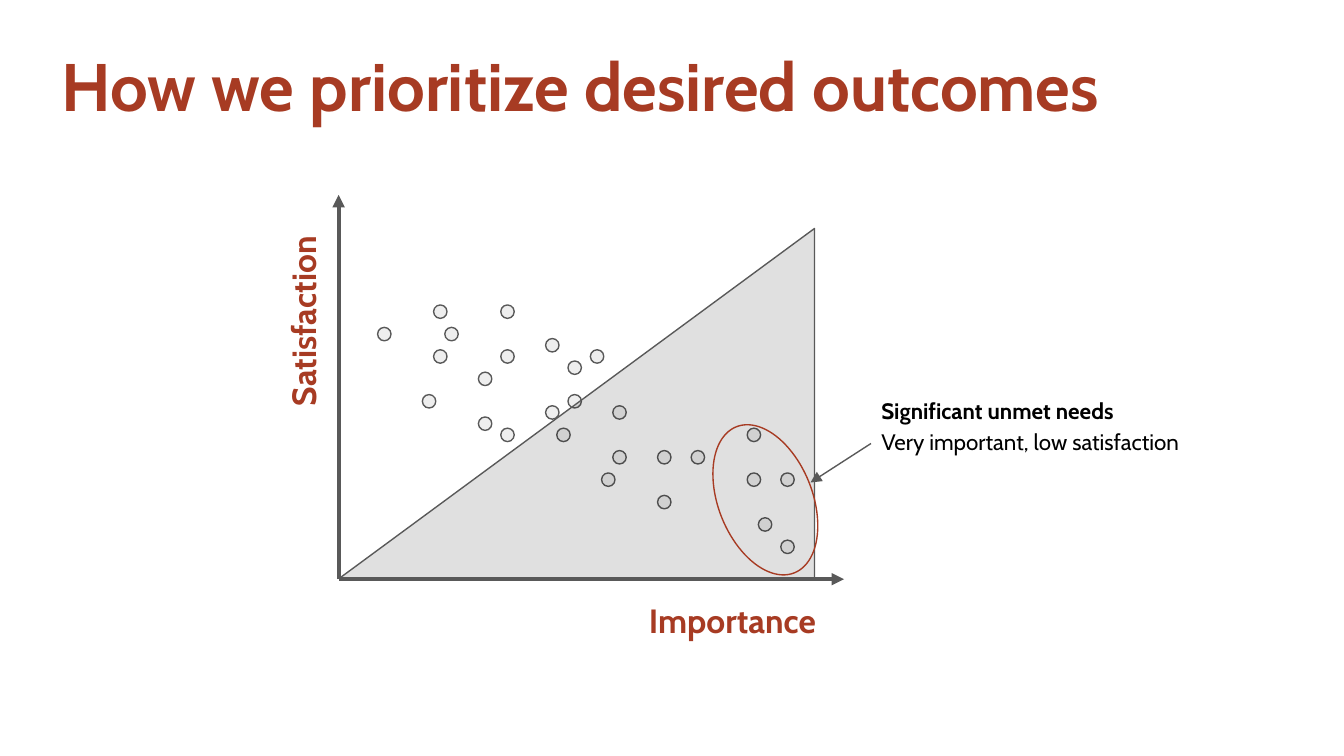
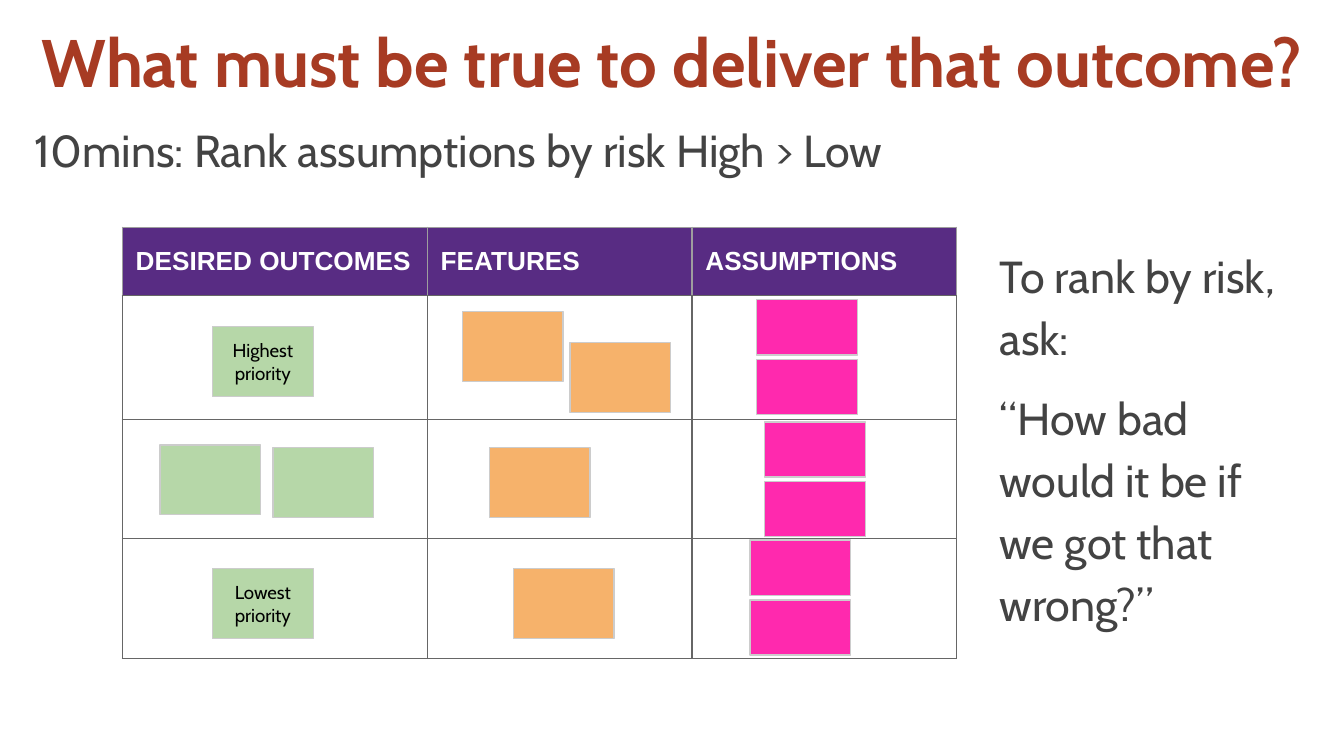
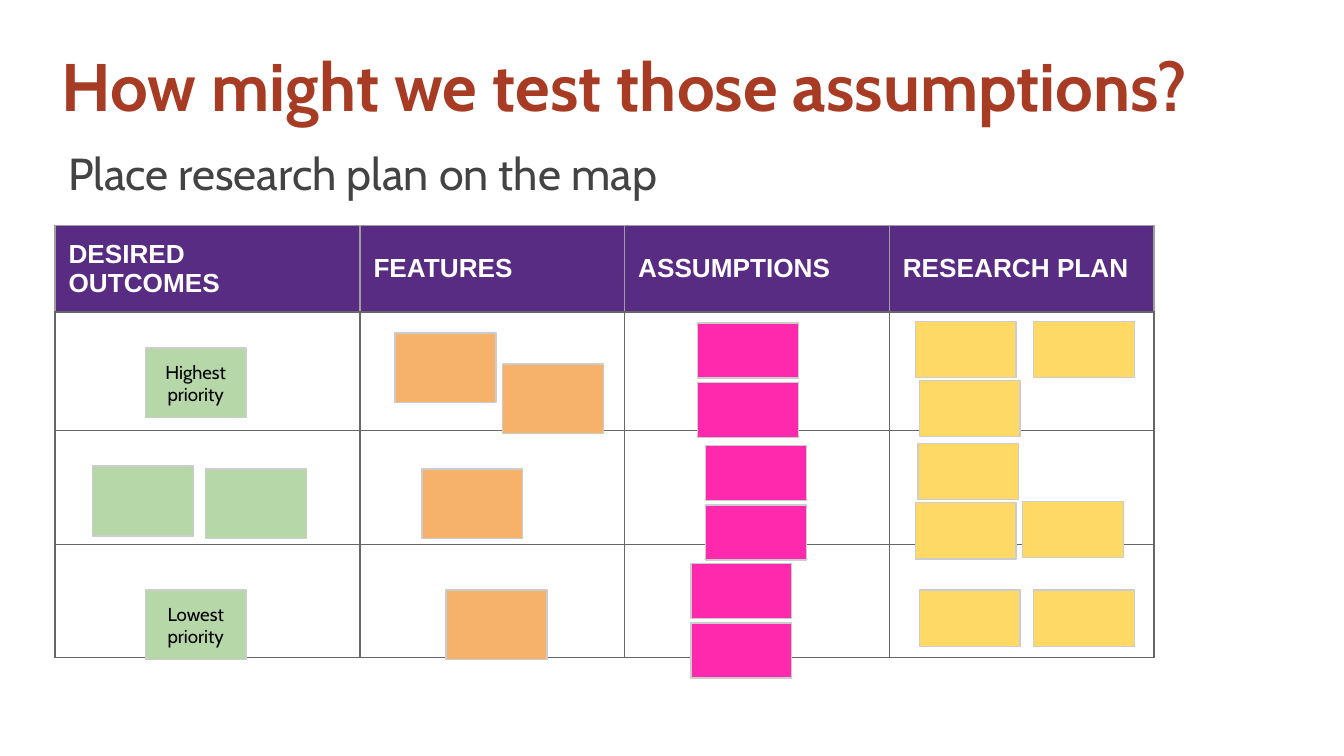
from lxml import etree
from pptx import Presentation
from pptx.dml.color import RGBColor
from pptx.enum.shapes import MSO_CONNECTOR, MSO_SHAPE
from pptx.enum.text import MSO_ANCHOR, PP_ALIGN
from pptx.oxml.ns import qn
from pptx.util import Pt

RECTANGLE, OVAL, TRIANGLE = MSO_SHAPE.RECTANGLE, MSO_SHAPE.OVAL, MSO_SHAPE.RIGHT_TRIANGLE
STRAIGHT = MSO_CONNECTOR.STRAIGHT
LEFT, CENTER = PP_ALIGN.LEFT, PP_ALIGN.CENTER
TOP, MIDDLE = MSO_ANCHOR.TOP, MSO_ANCHOR.MIDDLE

COLORS = {
    "accent": "A73B23", "body": "434343", "black": "000000", "white": "FFFFFF",
    "axis": "595959", "dot": "EEEEEE", "header": "582C83", "grid": "666666",
    "header_edge": "9E9E9E", "note_edge": "CCCCCC", "green": "B6D7A8",
    "orange": "F6B26B", "pink": "FF29AE", "yellow": "FFD966",
}
INSET = 7.2
TITLE_BOX = (25.9, 18.7, 641.5, 53.3)

DOT_ORIGIN, DOT_STEP, DOT_SIZE = (202.3, 163.4), 6, 7.2
DOTS = [
    (34, 19), (36, 21), (36, 15), (25, 13), (20, 15), (25, 17), (17, 8), (15, 3), (17, 5),
    (19, 4), (15, 9), (11, 11), (9, 6), (4, 8), (9, 10), (11, 0), (6, 2), (11, 4),
    (5, 0), (0, 2), (5, 4), (21, 9), (16, 11), (21, 13), (33, 11), (28, 13), (33, 15),
]

COLUMN_WIDTHS = [163.4, 141.8, 141.8, 141.8]
NOTE_WIDTH = 54
NOTE_HEIGHTS = {"green": 37.4, "orange": 37.4, "pink": 29.5, "yellow": 30.2}
OUTCOMES = [(113.8, 304.6, "Lowest priority"), (113.8, 175, "Highest priority"),
            (85.7, 238.3, ""), (146.2, 239.8, "")]
FEATURES = [(247.7, 167), (305.3, 183.6), (262.1, 239.8), (275, 304.6)]
ASSUMPTION_PAIRS = [(405.4, 160.6), (409.7, 226.1), (401.8, 289.4)]
PAIR_STEP = 32
RESEARCH = [(490.3, 172.1), (492.5, 203.8), (491.8, 237.6), (490.3, 269.3),
            (492.5, 316.1), (553.7, 172.1), (547.9, 268.6), (553.7, 316.1)]


def rgb(name):
    """Return the named colour."""
    return RGBColor.from_string(COLORS[name])


def points(values):
    """Convert numbers to lengths in points."""
    return [Pt(value) for value in values]


def write_text(frame, text, size=12, color="black", bold=False, font="Cabin",
               align=LEFT, spacing=None, after=0):
    """Write one paragraph for each line of text."""
    for index, line in enumerate(text.split("\n")):
        paragraph = frame.add_paragraph() if index else frame.paragraphs[0]
        paragraph.alignment = align
        paragraph.line_spacing = spacing
        paragraph.space_after = Pt(after)
        run = paragraph.add_run()
        run.text = line
        run.font.size, run.font.name, run.font.bold = Pt(size), font, bold
        run.font.color.rgb = rgb(color)


def set_frame(frame, anchor=MIDDLE):
    """Give a text frame its wrapping, insets and anchor."""
    frame.word_wrap = True
    frame.vertical_anchor = anchor
    frame.margin_left = frame.margin_right = Pt(INSET)
    frame.margin_top = frame.margin_bottom = Pt(INSET)


def add_text(slide, box, text, anchor=MIDDLE, rotation=0, **style):
    """Add a text box."""
    shape = slide.shapes.add_textbox(*points(box))
    shape.rotation = rotation
    set_frame(shape.text_frame, anchor)
    write_text(shape.text_frame, text, **style)
    return shape


def add_title(slide, text, box=TITLE_BOX, align=LEFT):
    """Add the slide title."""
    add_text(slide, box, text, size=36, color="accent", bold=True, align=align)


def add_subtitle(slide, text, left, top):
    """Add the line below the title."""
    add_text(slide, (left, top, 526.3, 43.9), text,
             size=24, color="body", spacing=1.15, after=10)


def add_shape(slide, kind, box, fill, line):
    """Add a thinly outlined preset shape, unfilled when fill is None."""
    shape = slide.shapes.add_shape(kind, *points(box))
    shape.shadow.inherit = False
    if fill:
        shape.fill.solid()
        shape.fill.fore_color.rgb = rgb(fill)
    else:
        shape.fill.background()
    shape.line.color.rgb = rgb(line)
    shape.line.width = Pt(0.75)
    return shape


def add_arrow(slide, start, end, width):
    """Add a straight line with an arrowhead at its end."""
    connector = slide.shapes.add_connector(STRAIGHT, *points(start + end))
    connector.line.color.rgb = rgb("axis")
    connector.line.width = Pt(width)
    properties = connector._element.spPr
    etree.SubElement(properties.find(qn("a:ln")), qn("a:tailEnd"), type="triangle")
    etree.SubElement(properties, qn("a:effectLst"))


def add_note(slide, color, left, top, text=""):
    """Add a sticky note."""
    box = (left, top, NOTE_WIDTH, NOTE_HEIGHTS[color])
    note = add_shape(slide, RECTANGLE, box, color, "note_edge")
    if text:
        set_frame(note.text_frame)
        write_text(note.text_frame, text, size=10, align=CENTER)


def add_map_notes(slide, shift=(0, 0), pink_shift=(0, 0)):
    """Add the outcome, feature and assumption notes."""
    across, down = shift
    for left, top, text in OUTCOMES:
        add_note(slide, "green", left + across, top + down, text)
    for left, top in FEATURES:
        add_note(slide, "orange", left + across, top + down)
    across, down = pink_shift
    for left, top in ASSUMPTION_PAIRS:
        for step in (0, PAIR_STEP):
            add_note(slide, "pink", left + across, top + down + step)


def set_borders(cell, colors):
    """Draw the left, right, top and bottom borders of a cell."""
    properties = cell._tc.get_or_add_tcPr()
    for index, (side, color) in enumerate(zip("LRTB", colors)):
        line = etree.Element(qn(f"a:ln{side}"), w=str(Pt(0.75)))
        fill = etree.SubElement(line, qn("a:solidFill"))
        etree.SubElement(fill, qn("a:srgbClr"), val=COLORS[color])
        properties.insert(index, line)


def add_map_table(slide, left, top, headings, row_heights):
    """Add the map grid with a header row."""
    widths = COLUMN_WIDTHS[:len(headings)]
    box = (left, top, sum(widths), sum(row_heights))
    table = slide.shapes.add_table(len(row_heights), len(widths), *points(box)).table
    table.first_row = table.horz_banding = False
    for column, width in zip(table.columns, widths):
        column.width = Pt(width)
    for row_index, height in enumerate(row_heights):
        table.rows[row_index].height = Pt(height)
        for column_index, heading in enumerate(headings):
            cell = table.cell(row_index, column_index)
            is_header = row_index == 0
            cell.fill.solid()
            cell.fill.fore_color.rgb = rgb("header" if is_header else "white")
            edge = "header_edge" if is_header else "grid"
            set_borders(cell, [edge, edge, edge, "grid"])
            if is_header:
                cell.vertical_anchor = MIDDLE
                write_text(cell.text_frame, heading, size=14, color="white",
                           bold=True, font="Arial")


def build_priority_slide(slide):
    """Plot satisfaction against importance."""
    origin = (181.4, 310.3)
    add_arrow(slide, origin, (181.4, 104.4), 2.25)
    add_arrow(slide, origin, (452.2, 310.3), 2.25)
    label = {"size": 18, "color": "accent", "bold": True, "align": CENTER, "spacing": 1.15}
    add_text(slide, (327.6, 311.8, 129.6, 37.4), "Importance", **label)
    add_text(slide, (95.8, 153.4, 129.6, 37.4), "Satisfaction", rotation=270, **label)
    for column, row in DOTS:
        left = DOT_ORIGIN[0] + column * DOT_STEP
        top = DOT_ORIGIN[1] + row * DOT_STEP
        add_shape(slide, OVAL, (left, top, DOT_SIZE, DOT_SIZE), "dot", "axis")
    area = add_shape(slide, TRIANGLE, (182.2, 122.4, 254.2, 187.2), "black", "axis")
    properties = area._element.spPr
    properties.find(qn("a:xfrm")).set("flipH", "1")
    color = properties.find(qn("a:solidFill")).find(qn("a:srgbClr"))
    etree.SubElement(color, qn("a:alpha"), val="12000")
    add_shape(slide, OVAL, (367.9, 242.6, 84.2, 50.4), None, "accent").rotation = 68.4
    callout = add_text(slide, (465.1, 188.6, 177.1, 77),
                       "Significant unmet needs\nVery important, low satisfaction", spacing=1.15)
    callout.text_frame.paragraphs[0].runs[0].font.bold = True
    add_arrow(slide, (466.6, 237.6), (434.2, 258.5), 0.75)
    add_title(slide, "How we prioritize desired outcomes")


def build_risk_slide(slide):
    """Rank the assumptions by risk."""
    add_title(slide, "What must be true to deliver that outcome?", (0, 5.8, 720, 53.3), CENTER)
    add_subtitle(slide, "10mins: Rank assumptions by risk High > Low", 11.5, 56.2)
    add_map_table(slide, 65.5, 121.7, ["DESIRED OUTCOMES", "FEATURES", "ASSUMPTIONS"],
                  [36.7, 66.2, 64.1, 64.1])
    add_map_notes(slide)
    add_text(slide, (528.5, 121.7, 162, 195.8),
             "To rank by risk, ask:\n“How bad would it be if we got that wrong?”",
             anchor=TOP, size=24, color="body", spacing=1.15, after=10)


def build_research_slide(slide):
    """Place the research plan on the map."""
    add_title(slide, "How might we test those assumptions?")
    add_map_table(slide, 29.5, 121,
                  ["DESIRED\nOUTCOMES", "FEATURES", "ASSUMPTIONS", "RESEARCH PLAN"],
                  [46.1, 63.4, 61.2, 60.5])
    add_map_notes(slide, shift=(-36, 11.4), pink_shift=(-31.6, 12.4))
    for left, top in RESEARCH:
        add_note(slide, "yellow", left, top)
    add_subtitle(slide, "Place research plan on the map", 29.5, 68.4)


def main():
    """Build and save the presentation."""
    presentation = Presentation()
    presentation.slide_width, presentation.slide_height = Pt(720), Pt(405)
    for build in (build_priority_slide, build_risk_slide, build_research_slide):
        build(presentation.slides.add_slide(presentation.slide_layouts[6]))
    presentation.save("out.pptx")


if __name__ == "__main__":
    main()
